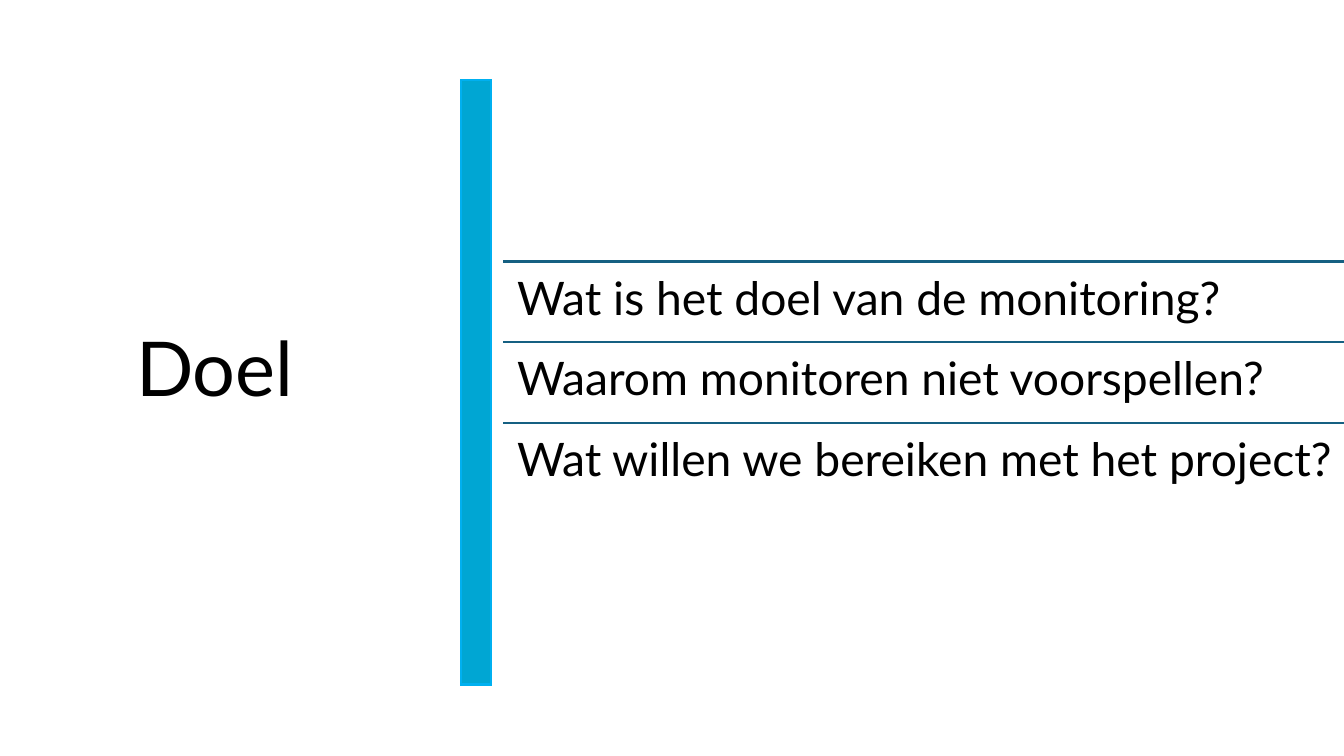
"""Build the slide "Doel" with three ruled questions beside a vertical bar."""
import pptx
import pptx.dml.color
import pptx.enum.shapes
import pptx.enum.text
import pptx.oxml
import pptx.oxml.ns
import pptx.util
from pptx.util import Cm

SLIDE_WIDTH, SLIDE_HEIGHT = 33.87, 19.05
QUESTIONS_LEFT, QUESTIONS_TOP = 12.68, 6.59
QUESTION_WIDTH, QUESTION_HEIGHT = 352.1, 2.03
QUESTIONS = (
    "Wat is het doel van de monitoring?",
    "Waarom monitoren niet voorspellen?",
    "Wat willen we bereiken met het project?",
)


def color(value):
    """Turn a hex string into a colour."""
    return pptx.dml.color.RGBColor.from_string(value)


def drawing_element(tag):
    """Make an empty drawing element."""
    return pptx.oxml.parse_xml(f"<a:{tag} {pptx.oxml.ns.nsdecls('a')}/>")


class SlideBuilder:
    """Hold the style and the current slide."""

    font_name = "Lato"
    text_color = "000000"
    rule_color = "156082"
    bar_fill = "00A6D3"
    bar_line = "00B0F0"
    line_width = 1.5

    def __init__(self, slide):
        """Keep the slide to draw on."""
        self.slide = slide

    def text(self, left, top, width, height, content, size, anchor, insets):
        """Add a one-paragraph text box."""
        box = self.slide.shapes.add_textbox(Cm(left), Cm(top), Cm(width), Cm(height))
        frame = box.text_frame
        frame.word_wrap = True
        frame.vertical_anchor = anchor
        frame.margin_left, frame.margin_top, frame.margin_right, frame.margin_bottom = map(Cm, insets)
        paragraph = frame.paragraphs[0]
        paragraph.line_spacing = 0.9
        run = paragraph.add_run()
        run.text = content
        run.font.name = self.font_name
        run.font.size = pptx.util.Pt(size)
        run.font.color.rgb = color(self.text_color)

    def outline(self, line, line_color):
        """Set the colour and width of a line."""
        line.color.rgb = color(line_color)
        line.width = pptx.util.Pt(self.line_width)

    def rule(self, left, top, width):
        """Add a horizontal line."""
        connector = self.slide.shapes.add_connector(
            pptx.enum.shapes.MSO_CONNECTOR.STRAIGHT, Cm(left), Cm(top), Cm(left + width), Cm(top))
        self.outline(connector.line, self.rule_color)
        connector._element.spPr.append(drawing_element("effectLst"))

    def bar(self, left, top, width, height):
        """Add the vertical bar with sharp corners."""
        shape = self.slide.shapes.add_shape(
            pptx.enum.shapes.MSO_SHAPE.RECTANGLE, Cm(left), Cm(top), Cm(width), Cm(height))
        shape.shadow.inherit = False
        shape.fill.solid()
        shape.fill.fore_color.rgb = color(self.bar_fill)
        self.outline(shape.line, self.bar_line)
        shape._element.spPr.find(pptx.oxml.ns.qn("a:ln")).append(drawing_element("miter"))


def main():
    """Build and save the presentation."""
    presentation = pptx.Presentation()
    presentation.slide_width = Cm(SLIDE_WIDTH)
    presentation.slide_height = Cm(SLIDE_HEIGHT)
    builder = SlideBuilder(presentation.slides.add_slide(presentation.slide_layouts[6]))

    builder.text(3.18, 1.61, 7.98, 15.52, "Doel", 54,
                 pptx.enum.text.MSO_ANCHOR.MIDDLE, (0.25, 0.13, 0.25, 0.13))
    for index, question in enumerate(QUESTIONS):
        top = QUESTIONS_TOP + index * QUESTION_HEIGHT
        builder.rule(QUESTIONS_LEFT, top, QUESTION_WIDTH)
        builder.text(QUESTIONS_LEFT, top, QUESTION_WIDTH, QUESTION_HEIGHT,
                     question, 33, pptx.enum.text.MSO_ANCHOR.TOP, (0.35,) * 4)
    builder.bar(11.61, 2.01, 0.76, 15.24)

    presentation.save("out.pptx")


if __name__ == "__main__":
    main()
